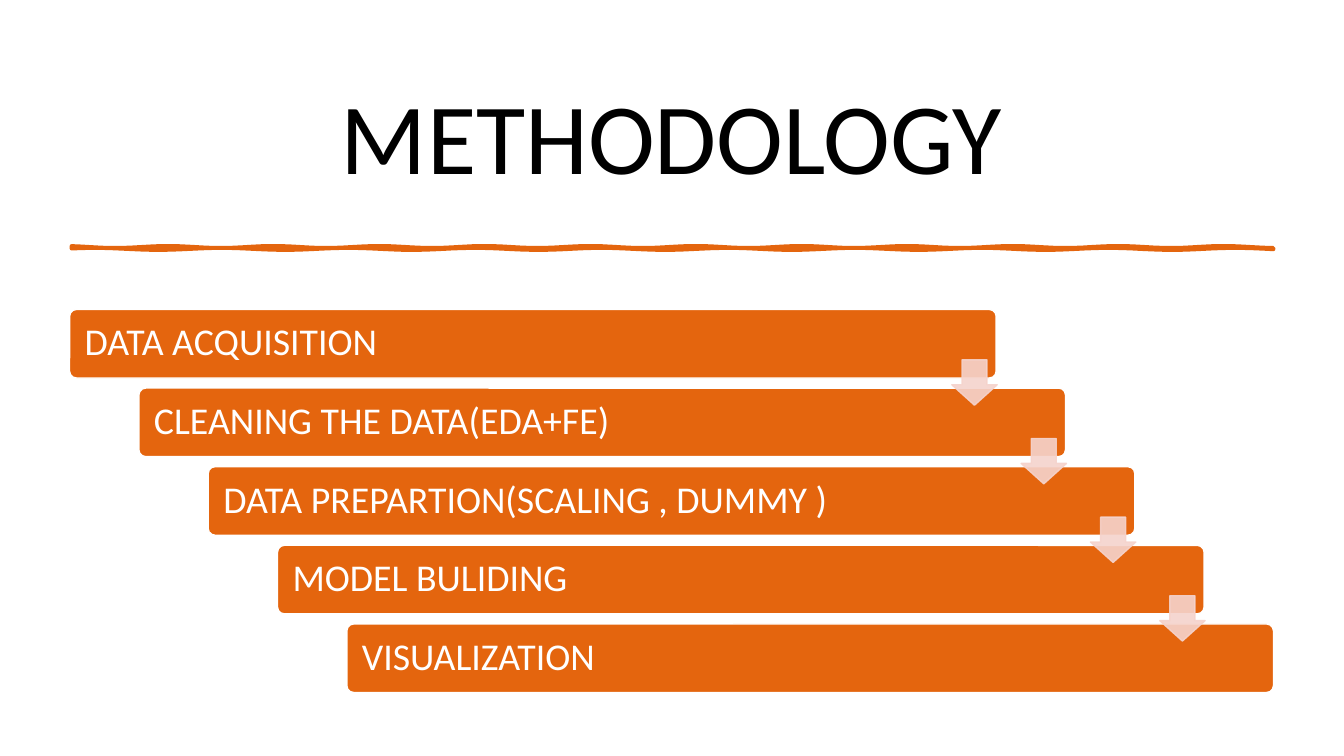
from dataclasses import dataclass
from math import sin

from lxml import etree
from pptx import Presentation
from pptx.dml.color import RGBColor
from pptx.enum.shapes import MSO_SHAPE
from pptx.enum.text import MSO_ANCHOR, PP_ALIGN
from pptx.oxml.ns import qn
from pptx.shapes.autoshape import Shape
from pptx.slide import Slide
from pptx.util import Inches, Pt

ROUNDED, DOWN_ARROW = MSO_SHAPE.ROUNDED_RECTANGLE, MSO_SHAPE.DOWN_ARROW
MIDDLE = MSO_ANCHOR.MIDDLE
LEFT, CENTER = PP_ALIGN.LEFT, PP_ALIGN.CENTER

BLACK = RGBColor(0x00, 0x00, 0x00)
WHITE = RGBColor(0xFF, 0xFF, 0xFF)
ORANGE = RGBColor(0xE4, 0x65, 0x0E)
PINK = RGBColor(0xF5, 0xD3, 0xCC)
FONT = "Calibri"

# Staircase: each step moves right and down by the same amount
FIRST_LEFT, FIRST_TOP = 0.69, 3.07
STEP_RIGHT, STEP_DOWN = 0.6875, 0.78
BAR_WIDTH, BAR_HEIGHT = 9.19, 0.68
ARROW_RIGHT, ARROW_DOWN, ARROW_SIZE = 8.75, 0.5, 0.45

# Hand-drawn rule under the title
RULE_LEFT, RULE_RIGHT, RULE_TOP, RULE_BOTTOM = 0.71, 12.63, 2.45, 2.47
RULE_POINTS = 120


@dataclass
class Step:
    index: int
    label: str

    @property
    def left(self) -> float:
        return FIRST_LEFT + self.index * STEP_RIGHT

    @property
    def top(self) -> float:
        return FIRST_TOP + self.index * STEP_DOWN


LABELS = [
    "DATA ACQUISITION",
    "CLEANING THE DATA(EDA+FE)",
    "DATA PREPARTION(SCALING , DUMMY )",
    "MODEL BULIDING",
    "VISUALIZATION",
]
STEPS = [Step(index, label) for index, label in enumerate(LABELS)]


def set_text(shape: Shape, text: str, size: float, color: RGBColor,
             alignment: PP_ALIGN, inset: float, spacing: float) -> None:
    frame = shape.text_frame
    frame_format = {
        "word_wrap": True, "vertical_anchor": MIDDLE,
        "margin_left": Inches(inset), "margin_right": Inches(inset),
    }
    for name, value in frame_format.items():
        setattr(frame, name, value)
    paragraph = frame.paragraphs[0]
    paragraph.alignment = alignment
    paragraph.line_spacing = spacing
    run = paragraph.add_run()
    run.text = text
    for name, value in {"name": FONT, "size": Pt(size)}.items():
        setattr(run.font, name, value)
    run.font.color.rgb = color


def set_style(shape: Shape, fill: RGBColor, line: RGBColor, width: float) -> None:
    shape.shadow.inherit = False
    shape.fill.solid()
    shape.fill.fore_color.rgb = fill
    shape.line.color.rgb = line
    shape.line.width = Pt(width)


def add_title(slide: Slide, text: str) -> None:
    title = slide.shapes.add_textbox(Inches(0.69), Inches(0.69), Inches(11.94), Inches(1.44))
    set_text(title, text, 72, BLACK, CENTER, 0.1, 0.9)


def add_rule(slide: Slide) -> None:
    pitch = (RULE_RIGHT - RULE_LEFT) / RULE_POINTS
    across = [RULE_LEFT + index * pitch for index in range(RULE_POINTS + 1)]
    lower = [(x, RULE_BOTTOM + 0.01 * sin(5 * x)) for x in across]
    upper = [(x, RULE_TOP + 0.01 * sin(6 * x + 1)) for x in reversed(across)]
    outline = [(Inches(x), Inches(y)) for x, y in lower + upper]
    builder = slide.shapes.build_freeform(*outline[0])
    builder.add_line_segments(outline[1:], close=True)
    set_style(builder.convert_to_shape(), ORANGE, ORANGE, 2.75)


def add_bar(slide: Slide, step: Step) -> None:
    bar = slide.shapes.add_shape(ROUNDED, Inches(step.left), Inches(step.top),
                                 Inches(BAR_WIDTH), Inches(BAR_HEIGHT))
    bar.adjustments[0] = 0.1
    set_style(bar, ORANGE, WHITE, 1)
    set_text(bar, step.label, 27, WHITE, LEFT, 0.13, 0.9)


def add_arrow(slide: Slide, step: Step) -> None:
    arrow = slide.shapes.add_shape(
        DOWN_ARROW, Inches(step.left + ARROW_RIGHT), Inches(step.top + ARROW_DOWN),
        Inches(ARROW_SIZE), Inches(ARROW_SIZE))
    arrow.adjustments[0], arrow.adjustments[1] = 0.55, 0.45
    set_style(arrow, PINK, PINK, 1)
    # Fill and line are both 90% opaque
    for color in arrow.element.spPr.iter(qn("a:srgbClr")):
        etree.SubElement(color, qn("a:alpha")).set("val", "90000")


def main() -> None:
    presentation = Presentation()
    presentation.slide_width = Inches(13.33)
    presentation.slide_height = Inches(7.5)
    slide = presentation.slides.add_slide(presentation.slide_layouts[6])
    slide.background.fill.solid()
    slide.background.fill.fore_color.rgb = WHITE

    add_title(slide, "METHODOLOGY")
    add_rule(slide)
    for step in STEPS:
        add_bar(slide, step)
    # Arrows lie over the bars and link each step to the next
    for step in STEPS[:-1]:
        add_arrow(slide, step)

    presentation.save("out.pptx")


if __name__ == "__main__":
    main()
